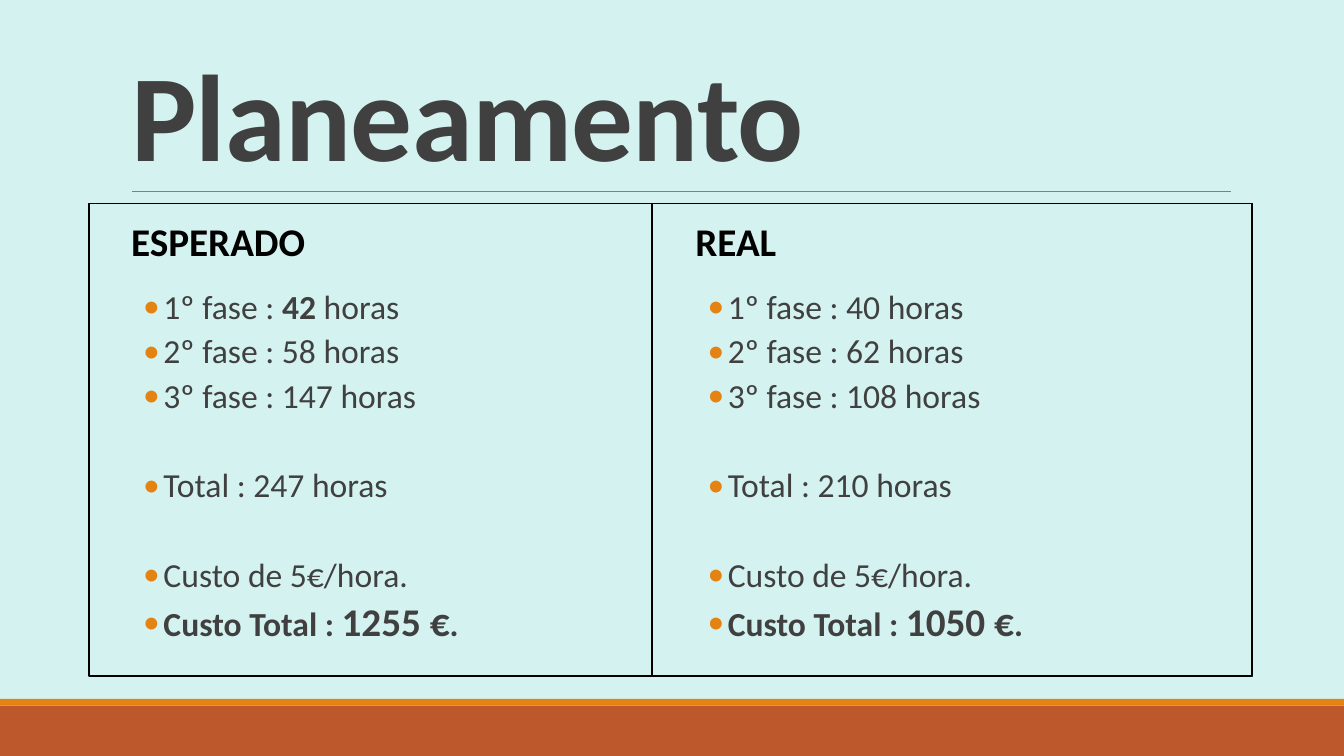
from dataclasses import dataclass

from lxml.etree import SubElement
from pptx import Presentation
from pptx.dml.color import RGBColor as RGB
from pptx.enum.shapes import MSO_CONNECTOR, MSO_SHAPE
from pptx.enum.text import MSO_ANCHOR as Anchor, MSO_AUTO_SIZE, PP_ALIGN
from pptx.oxml.ns import qn
from pptx.util import Cm, Pt

TITLE = "Planeamento"
# Each line is a list of (text, style) runs; each group is set apart by a gap.
PLANS = [
    ("ESPERADO", [
        [[("1º fase : ", "plain"), ("42", "bold"), (" horas", "plain")],
         [("2º fase : 58 horas", "plain")],
         [("3º fase : 147 horas", "plain")]],
        [[("Total : 247 horas", "plain")]],
        [[("Custo de 5€/hora.", "plain")],
         [("Custo Total : ", "bold"), ("1255 €", "large"), (".", "bold")]],
    ]),
    ("REAL", [
        [[("1º fase : 40 horas", "plain")],
         [("2º fase : 62 horas", "plain")],
         [("3º fase : 108 horas", "plain")]],
        [[("Total : 210 horas", "plain")]],
        [[("Custo de 5€/hora.", "plain")],
         [("Custo Total : ", "bold"), ("1050 €", "large"), (".", "bold")]],
    ]),
]


@dataclass(frozen=True)
class Theme:
    font: str = "Calibri"
    background: str = "D4F3F0"
    text: str = "404040"
    black: str = "000000"
    rule: str = "808080"
    accent: str = "E48312"
    footer: str = "BD582C"
    title_size: int = 88
    heading_size: int = 28
    list_size: int = 24
    total_size: int = 28


THEME = Theme()
RUN_STYLES = {  # size, bold
    "plain": (THEME.list_size, False),
    "bold": (THEME.list_size, True),
    "large": (THEME.total_size, True),
}

SLIDE_W, SLIDE_H = 33.87, 19.05
FOOTER_H, STRIPE_H = 1.27, 0.17
LEFT, COLUMN_W, COLUMN_STEP = 3.05, 13.72, 14.22
FRAME_TOP, FRAME_H = 5.13, 11.91
FRAME_LEFT, FRAME_DIVIDER, FRAME_RIGHT = 2.24, 16.43, 31.55
HEADING_H, LIST_H = 2.05, 9.37
GAP_BEFORE = 34


def place(shape, left, top, width, height, anchor):
    shape.left, shape.top = Cm(left), Cm(top)
    shape.width, shape.height = Cm(width), Cm(height)
    frame = shape.text_frame
    frame.word_wrap = True
    frame.auto_size = MSO_AUTO_SIZE.NONE
    frame.vertical_anchor = anchor
    return frame


def space(paragraph, line, before=0, after=0):
    paragraph.alignment = PP_ALIGN.LEFT
    paragraph.line_spacing = line
    paragraph.space_before, paragraph.space_after = Pt(before), Pt(after)


def add_run(paragraph, text, size, bold, color):
    run = paragraph.add_run()
    run.text = text
    font = run.font
    font.name, font.size, font.bold = THEME.font, Pt(size), bold
    font.color.rgb = RGB.from_string(color)
    return run


def add_bullet(paragraph):
    properties = paragraph._p.get_or_add_pPr()
    properties.set("marL", str(Cm(1.07)))
    properties.set("indent", str(Cm(-0.51)))
    color = SubElement(properties, qn("a:buClr"))
    SubElement(color, qn("a:srgbClr"), val=THEME.accent)
    SubElement(properties, qn("a:buFont"), typeface=THEME.font)
    SubElement(properties, qn("a:buChar"), char="•")


def fill_list(frame, groups):
    frame.margin_left = frame.margin_right = 0
    paragraph = frame.paragraphs[0]
    for group_number, group in enumerate(groups):
        for line_number, line in enumerate(group):
            if group_number or line_number:
                paragraph = frame.add_paragraph()
            starts_gap = group_number > 0 and line_number == 0
            paragraph.level = 1
            space(paragraph, 0.9, GAP_BEFORE if starts_gap else 2, 4)
            add_bullet(paragraph)
            for text, style in line:
                add_run(paragraph, text, *RUN_STYLES[style], THEME.text)


def add_rectangle(slide, left, top, width, height, fill=None):
    """Draw a filled band, or a black outline when no fill is given."""
    shape = slide.shapes.add_shape(
        MSO_SHAPE.RECTANGLE, Cm(left), Cm(top), Cm(width), Cm(height))
    shape.shadow.inherit = False
    if fill:
        shape.fill.solid()
        shape.fill.fore_color.rgb = RGB.from_string(fill)
        shape.line.fill.background()
    else:
        shape.fill.background()
        shape.line.color.rgb = RGB.from_string(THEME.black)
        shape.line.width = Pt(1.25)


def add_rule(slide):
    rule = slide.shapes.add_connector(
        MSO_CONNECTOR.STRAIGHT, Cm(3.33), Cm(4.83), Cm(31.01), Cm(4.83))
    rule.line.color.rgb = RGB.from_string(THEME.rule)
    rule.line.width = Pt(0.5)
    SubElement(rule._element.spPr, qn("a:effectLst"))


def main():
    deck = Presentation()
    deck.slide_width, deck.slide_height = Cm(SLIDE_W), Cm(SLIDE_H)
    slide = deck.slides.add_slide(deck.slide_layouts.get_by_name("Comparison"))
    slide.background.fill.solid()
    slide.background.fill.fore_color.rgb = RGB.from_string(THEME.background)

    footer_top = SLIDE_H - FOOTER_H
    add_rectangle(slide, 0, footer_top, SLIDE_W, FOOTER_H, THEME.footer)
    add_rectangle(slide, 0, footer_top - STRIPE_H, SLIDE_W, STRIPE_H, THEME.accent)
    add_rule(slide)

    title_frame = place(slide.shapes.title, LEFT, 0.79, 27.94, 4.04, Anchor.BOTTOM)
    title_line = title_frame.paragraphs[0]
    space(title_line, 0.85)
    title_run = add_run(title_line, TITLE, THEME.title_size, True, THEME.text)
    title_run.font._element.set("spc", "-50")

    for column, (heading, groups) in enumerate(PLANS):
        left = LEFT + column * COLUMN_STEP
        heading_box = slide.placeholders[1 + 2 * column]
        list_box = slide.placeholders[2 + 2 * column]
        heading_frame = place(
            heading_box, left, FRAME_TOP, COLUMN_W, HEADING_H, Anchor.MIDDLE)
        heading_line = heading_frame.paragraphs[0]
        space(heading_line, 0.9, 12, 2)
        add_run(heading_line, heading, THEME.heading_size, True, THEME.black)
        list_frame = place(
            list_box, left, FRAME_TOP + HEADING_H, COLUMN_W, LIST_H, Anchor.TOP)
        fill_list(list_frame, groups)

    for frame_left in (FRAME_LEFT, FRAME_DIVIDER):
        add_rectangle(slide, frame_left, FRAME_TOP, FRAME_RIGHT - frame_left, FRAME_H)

    deck.save("out.pptx")


if __name__ == "__main__":
    main()
